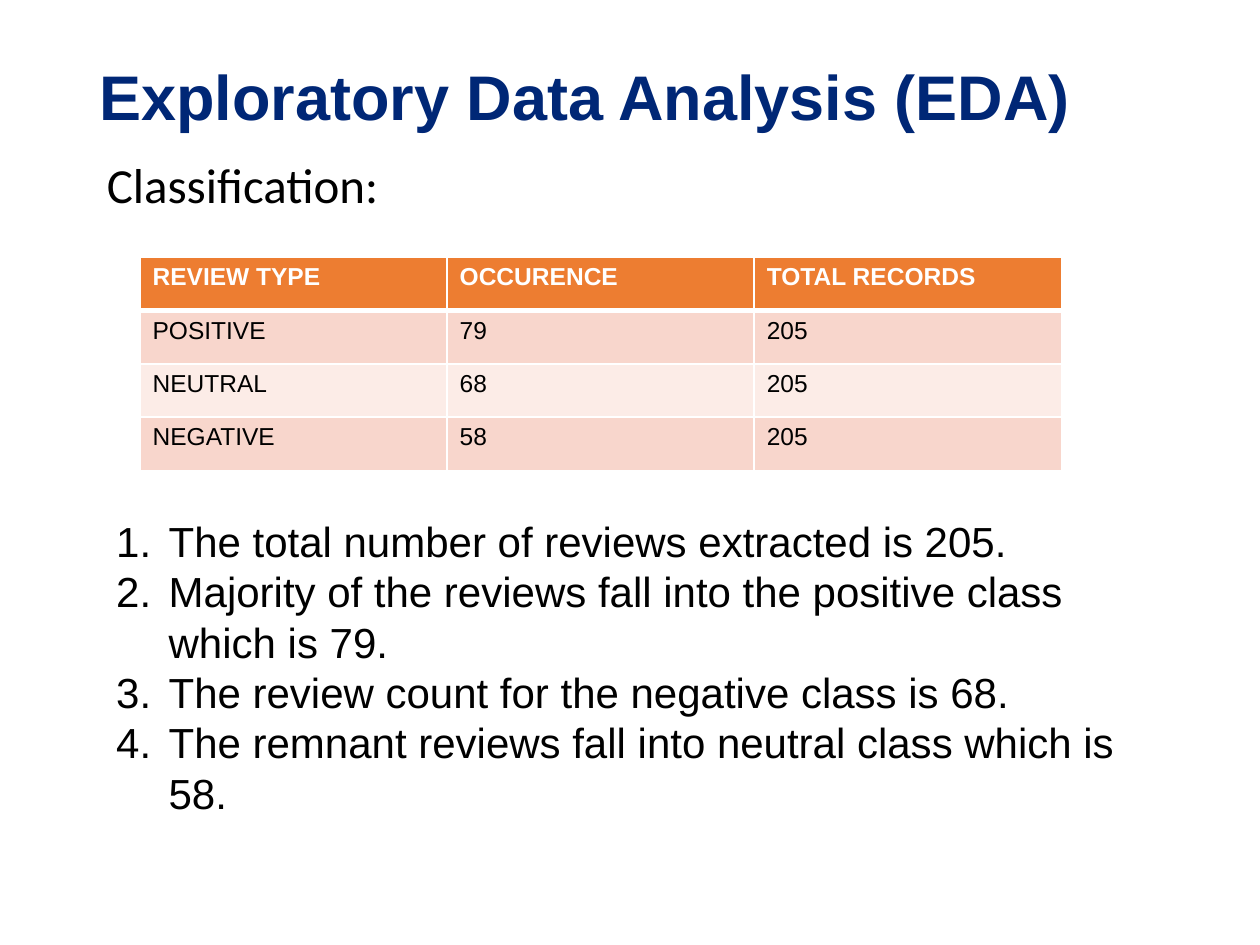
import pptx
import pptx.util
import pptx.dml.color
import pptx.enum.text
import pptx.oxml
import pptx.oxml.ns
import lxml.etree

Pt = pptx.util.Pt
RGBColor = pptx.dml.color.RGBColor

# Content
TITLE = "Exploratory Data Analysis (EDA)"
SUBTITLE = "Classification:"
REVIEWS = [
    ("REVIEW TYPE", "OCCURENCE", "TOTAL RECORDS"),
    ("POSITIVE", "79", "205"),
    ("NEUTRAL", "68", "205"),
    ("NEGATIVE", "58", "205"),
]
FINDINGS = [
    "The total number of reviews extracted is 205.",
    "Majority of the reviews fall into the positive class which is 79.",
    "The review count for the negative class is 68.",
    "The remnant reviews fall into neutral class which is 58.",
]

# Colours and table measures
NAVY = RGBColor(0x00, 0x27, 0x76)
BLACK = RGBColor(0x00, 0x00, 0x00)
WHITE = RGBColor(0xFF, 0xFF, 0xFF)
ORANGE = RGBColor(0xED, 0x7D, 0x31)
BANDS = [RGBColor(0xFC, 0xEC, 0xE7), RGBColor(0xF8, 0xD6, 0xCC)]
COLUMN_WIDTH, ROW_HEIGHT = 175.5, 30.5


def style(para, size, color, font="Arial", bold=False):
    for span in para.runs:
        span.font.name = font
        span.font.size = Pt(size)
        span.font.bold = bold
        span.font.color.rgb = color


def add_text(page, left, top, width, height, lines):
    box = page.shapes.add_textbox(Pt(left), Pt(top), Pt(width), Pt(height))
    frame = box.text_frame
    frame.word_wrap = True
    frame.vertical_anchor = pptx.enum.text.MSO_ANCHOR.TOP
    frame.text = "\n".join(lines)
    return frame


def hang(para, margin, indent):
    properties = para._p.get_or_add_pPr()
    properties.set("marL", str(Pt(margin)))
    properties.set("indent", str(Pt(indent)))
    return properties


def add_borders(cell, bottom_width):
    properties = cell._tc.get_or_add_tcPr()
    widths = {"a:lnL": 1, "a:lnR": 1, "a:lnT": 1, "a:lnB": bottom_width}
    for position, (tag, width) in enumerate(widths.items()):
        line = lxml.etree.Element(pptx.oxml.ns.qn(tag), w=str(Pt(width)))
        fill = lxml.etree.SubElement(line, pptx.oxml.ns.qn("a:solidFill"))
        lxml.etree.SubElement(fill, pptx.oxml.ns.qn("a:srgbClr"), val=str(WHITE))
        properties.insert(position, line)


def add_review_table(page, left, top):
    rows, columns = len(REVIEWS), len(REVIEWS[0])
    table = page.shapes.add_table(
        rows, columns, Pt(left), Pt(top),
        Pt(columns * COLUMN_WIDTH), Pt(rows * ROW_HEIGHT)).table
    for column in table.columns:
        column.width = Pt(COLUMN_WIDTH)
    for r, values in enumerate(REVIEWS):
        table.rows[r].height = Pt(ROW_HEIGHT)
        header = r == 0
        for c, value in enumerate(values):
            cell = table.cell(r, c)
            cell.text = value
            style(cell.text_frame.paragraphs[0], 14,
                  WHITE if header else BLACK, bold=header)
            cell.fill.solid()
            cell.fill.fore_color.rgb = ORANGE if header else BANDS[r % 2]
            add_borders(cell, 3 if header else 1)


def main():
    deck = pptx.Presentation()
    deck.slide_width, deck.slide_height = Pt(720), Pt(540)
    page = deck.slides.add_slide(deck.slide_layouts[6])

    # Title
    frame = add_text(page, 49.7, 28.8, 620.6, 104.4, [TITLE])
    frame.margin_top = Pt(9)
    frame.paragraphs[0].line_spacing = 0.9
    style(frame.paragraphs[0], 36, NAVY, bold=True)

    # Subtitle
    para = add_text(page, 36, 88.6, 620.6, 381.6, [SUBTITLE]).paragraphs[0]
    para.line_spacing = 0.9
    para.space_before = Pt(10)
    hang(para, 36, -18)
    style(para, 28, BLACK, font="Calibri")

    # Review counts
    add_review_table(page, 80, 147)

    # Numbered findings
    for para in add_text(page, 53.3, 290.9, 596.9, 239.8, FINDINGS).paragraphs:
        properties = hang(para, 36, -30)
        lxml.etree.SubElement(properties, pptx.oxml.ns.qn("a:buFont"), typeface="+mj-lt")
        lxml.etree.SubElement(properties, pptx.oxml.ns.qn("a:buAutoNum"), type="arabicPeriod")
        style(para, 24, BLACK)

    deck.save("out.pptx")


if __name__ == "__main__":
    main()
